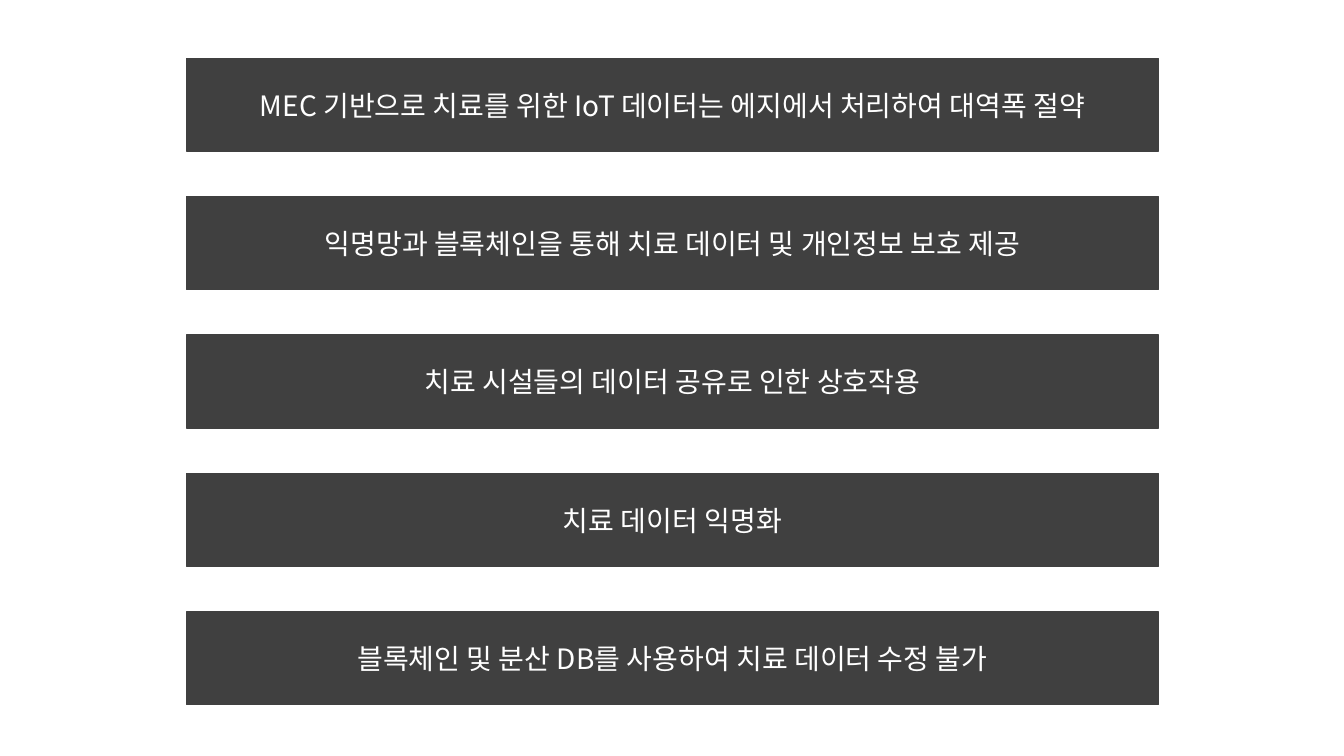
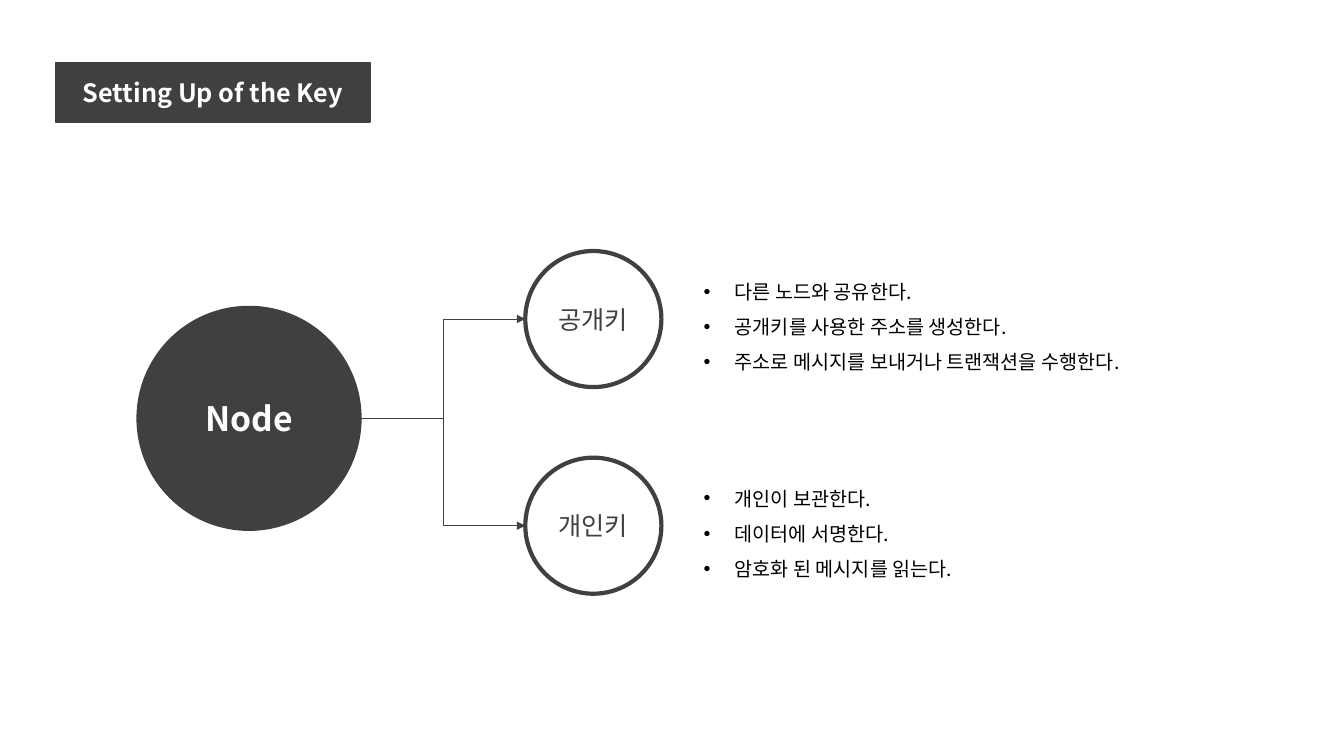
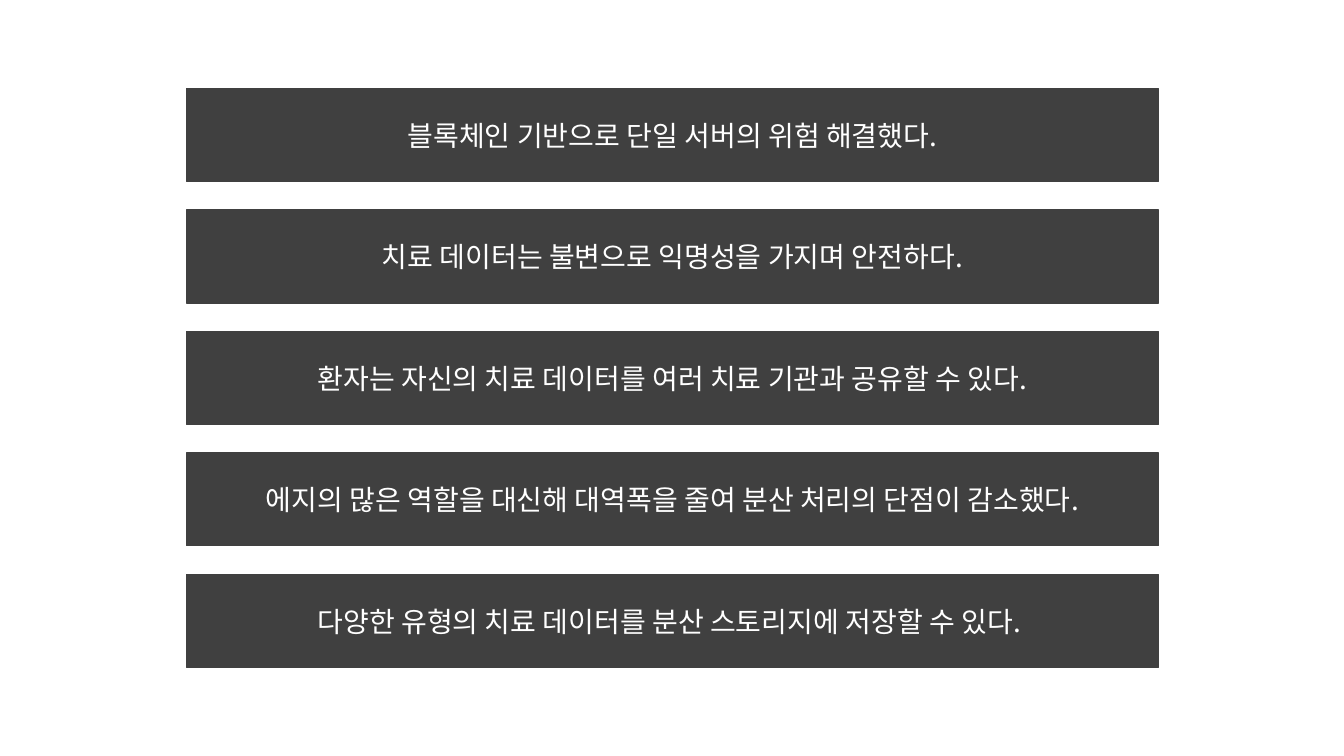
from lxml import etree
from pptx import Presentation
from pptx.dml.color import RGBColor
from pptx.enum.shapes import MSO_CONNECTOR, MSO_SHAPE
from pptx.enum.text import MSO_ANCHOR, MSO_AUTO_SIZE, PP_ALIGN
from pptx.oxml.ns import qn
from pptx.util import Inches, Pt

RECT, OVAL = MSO_SHAPE.RECTANGLE, MSO_SHAPE.OVAL
ELBOW = MSO_CONNECTOR.ELBOW
CENTER, MIDDLE = PP_ALIGN.CENTER, MSO_ANCHOR.MIDDLE
GROW = MSO_AUTO_SIZE.SHAPE_TO_FIT_TEXT

FONT = "Noto Sans CJK KR"
COLORS = {name: RGBColor.from_string(value) for name, value in {
    "dark": "404040", "white": "FFFFFF", "black": "000000"}.items()}


def style_text(paragraph, size, color, bold=False):
    font = paragraph.font
    font.size, font.bold, font.name = Pt(size), bold, FONT
    font.color.rgb = COLORS[color]
    # Korean letters take the East Asian typeface
    etree.SubElement(paragraph._p.pPr.find(qn("a:defRPr")), qn("a:ea"), typeface=FONT)


def add_label(slide, kind, box, text, size, bold=False, filled=True, line_width=1):
    shape = slide.shapes.add_shape(kind, *map(Inches, box))
    shape.shadow.inherit = False
    if filled:
        shape.fill.solid()
        shape.fill.fore_color.rgb = COLORS["dark"]
    else:
        shape.fill.background()
    shape.line.color.rgb = COLORS["dark"]
    shape.line.width = Pt(line_width)
    frame = shape.text_frame
    frame.vertical_anchor = MIDDLE
    paragraph = frame.paragraphs[0]
    paragraph.text = text
    paragraph.alignment = CENTER
    style_text(paragraph, size, "white" if filled else "dark", bold)


prs = Presentation()
prs.slide_width, prs.slide_height = Inches(13.33), Inches(7.5)
blank = prs.slide_layouts[6]
features_slide, keys_slide, results_slide = [prs.slides.add_slide(blank) for _ in range(3)]

# Slides 1 and 3: stacks of statement bars, with first and last top edge
stacks = [
    (features_slide, 0.58, 6.07, [
        "MEC 기반으로 치료를 위한 IoT 데이터는 에지에서 처리하여 대역폭 절약",
        "익명망과 블록체인을 통해 치료 데이터 및 개인정보 보호 제공",
        "치료 시설들의 데이터 공유로 인한 상호작용",
        "치료 데이터 익명화",
        "블록체인 및 분산 DB를 사용하여 치료 데이터 수정 불가",
    ]),
    (results_slide, 0.88, 5.7, [
        "블록체인 기반으로 단일 서버의 위험 해결했다.",
        "치료 데이터는 불변으로 익명성을 가지며 안전하다.",
        "환자는 자신의 치료 데이터를 여러 치료 기관과 공유할 수 있다.",
        "에지의 많은 역할을 대신해 대역폭을 줄여 분산 처리의 단점이 감소했다.",
        "다양한 유형의 치료 데이터를 분산 스토리지에 저장할 수 있다. ",
    ]),
]
for slide, first_top, last_top, statements in stacks:
    pitch = (last_top - first_top) / (len(statements) - 1)
    for row, statement in enumerate(statements):
        add_label(slide, RECT, (1.85, first_top + row * pitch, 9.64, 0.92), statement, 20)

# Slide 2: title and node
add_label(keys_slide, RECT, (0.55, 0.62, 3.12, 0.59), "Setting Up of the Key", 18, bold=True)
node_left, node_top, node_size = 1.36, 3.04, 2.22
add_label(keys_slide, OVAL, (node_left, node_top, node_size, node_size), "Node", 24, bold=True)

# Slide 2: each key with its arrow and its uses
key_left, key_size = 5.21, 1.35
keys = [
    ("공개키", 2.49, 4.72, ["다른 노드와 공유한다.", "공개키를 사용한 주소를 생성한다.",
                         "주소로 메시지를 보내거나 트랜잭션을 수행한다."]),
    ("개인키", 4.54, 2.93, ["개인이 보관한다.", "데이터에 서명한다.", "암호화 된 메시지를 읽는다."]),
]
for key, key_top, uses_width, uses in keys:
    add_label(keys_slide, OVAL, (key_left, key_top, key_size, key_size), key, 18,
              filled=False, line_width=3)

    arrow = keys_slide.shapes.add_connector(
        ELBOW, Inches(node_left + node_size), Inches(node_top + node_size / 2),
        Inches(key_left), Inches(key_top + key_size / 2))
    arrow.line.color.rgb = COLORS["dark"]
    arrow.line.width = Pt(0.5)
    etree.SubElement(arrow.line._get_or_add_ln(), qn("a:tailEnd"), type="triangle")
    etree.SubElement(arrow._element.spPr, qn("a:effectLst"))

    uses_box = keys_slide.shapes.add_textbox(
        Inches(6.88), Inches(key_top + 0.12), Inches(uses_width), Inches(1.12))
    frame = uses_box.text_frame
    frame.word_wrap = False
    frame.auto_size = GROW
    frame.text = "\n".join(uses)
    for paragraph in frame.paragraphs:
        paragraph.line_spacing = 1.5
        properties = paragraph._p.get_or_add_pPr()
        properties.set("marL", str(Inches(0.31)))
        properties.set("indent", str(-Inches(0.31)))
        etree.SubElement(properties, qn("a:buFont"), typeface="Arial")
        etree.SubElement(properties, qn("a:buChar"), char="•")
        style_text(paragraph, 14, "black")

prs.save("out.pptx")
